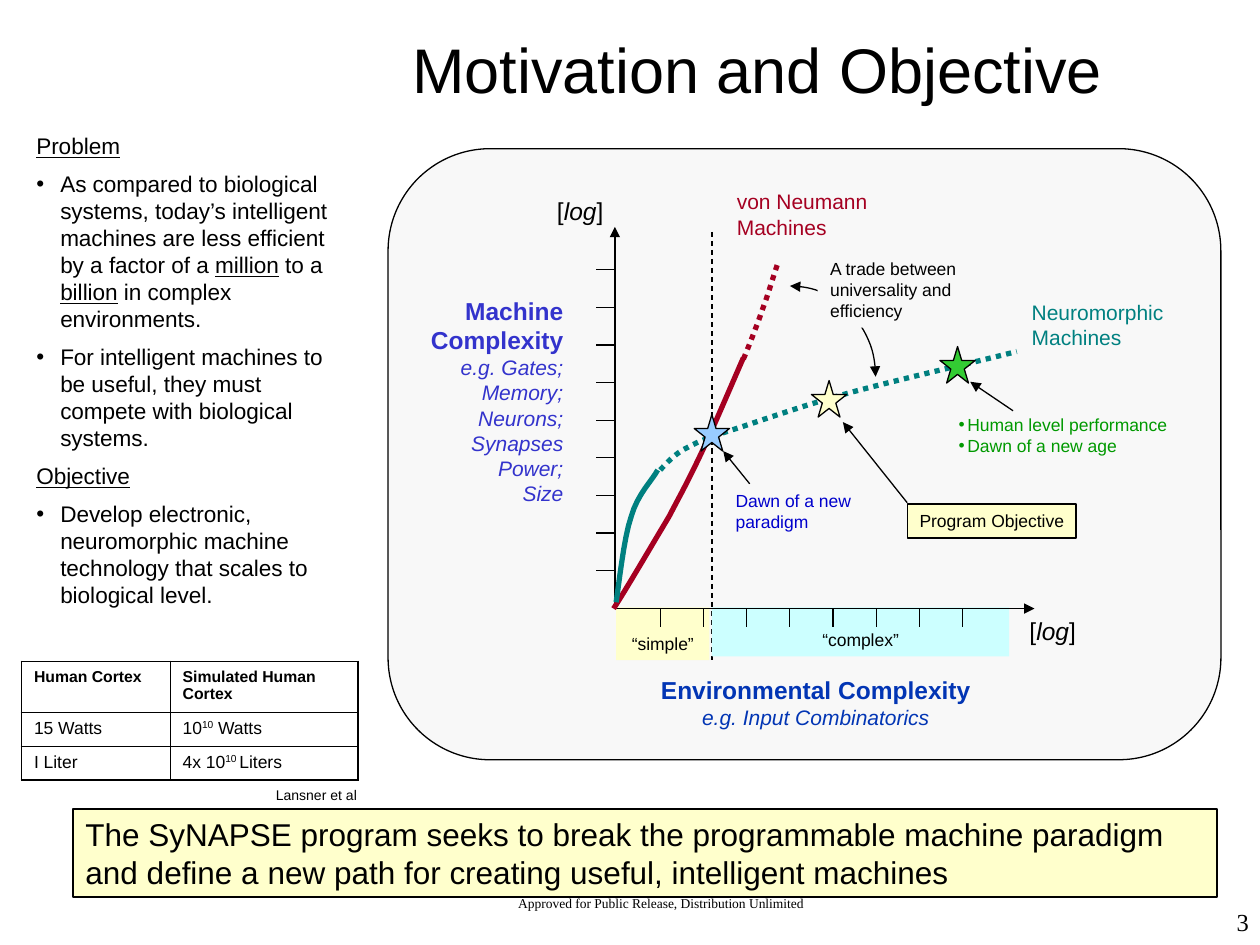
"""Build the Motivation and Objective slide with its complexity graph."""
from pptx import Presentation
from pptx.dml.color import RGBColor
from pptx.enum.dml import MSO_LINE
from pptx.enum.shapes import MSO_CONNECTOR, MSO_SHAPE
from pptx.enum.text import MSO_ANCHOR, PP_ALIGN
from pptx.oxml.ns import qn
from pptx.util import Pt
from lxml import etree

PX = 9144
LEFT, CENTER, RIGHT = PP_ALIGN.LEFT, PP_ALIGN.CENTER, PP_ALIGN.RIGHT
TOP, MIDDLE, BOTTOM = MSO_ANCHOR.TOP, MSO_ANCHOR.MIDDLE, MSO_ANCHOR.BOTTOM
RECTANGLE, ROUNDED = MSO_SHAPE.RECTANGLE, MSO_SHAPE.ROUNDED_RECTANGLE
STAR, ARC = MSO_SHAPE.STAR_5_POINT, MSO_SHAPE.ARC
STRAIGHT = MSO_CONNECTOR.STRAIGHT
DASH, DOTS = MSO_LINE.DASH, MSO_LINE.ROUND_DOT

BLACK = RGBColor(0x00, 0x00, 0x00)
CREAM = RGBColor(0xFF, 0xFF, 0xCC)
PANEL = RGBColor(0xF8, 0xF8, 0xF8)
CYAN = RGBColor(0xCC, 0xFF, 0xFF)
CRIMSON = RGBColor(0xA5, 0x00, 0x21)
TEAL = RGBColor(0x00, 0x80, 0x80)
INDIGO = RGBColor(0x33, 0x33, 0xCC)
ROYAL = RGBColor(0x02, 0x35, 0xB4)
BLUE = RGBColor(0x00, 0x00, 0xCC)
SKY = RGBColor(0x99, 0xCC, 0xFF)
GREEN = RGBColor(0x00, 0x99, 0x00)
LIME = RGBColor(0x33, 0xCC, 0x33)

SANS, SERIF = "Arial", "Times New Roman"
STYLES = {
    "title": (36, BLACK, SANS, ""), "banner": (18, BLACK, SANS, ""),
    "footer": (7.7, BLACK, SERIF, ""), "number": (14, BLACK, SERIF, ""),
    "topic": (12.9, BLACK, SANS, "u"), "body": (12.9, BLACK, SANS, ""),
    "header": (9, BLACK, SANS, "b"), "small": (10, BLACK, SANS, ""),
    "citation": (8, BLACK, SANS, ""), "log": (14, BLACK, SANS, ""),
    "machine": (14, INDIGO, SANS, "b"), "machine example": (12, INDIGO, SANS, "i"),
    "environment": (14, ROYAL, SANS, "b"), "environment example": (12, ROYAL, SANS, "i"),
    "von neumann": (12, CRIMSON, SANS, ""), "neuromorphic": (12, TEAL, SANS, ""),
    "paradigm": (10, BLUE, SANS, ""), "human level": (10, GREEN, SANS, ""),
}
INDENTS = {"topic": 19, "body": 19, "human level": 7}
BULLETED = ("body", "human level")
LOG = [("log", [("[", ""), ("log", "i"), ("]", "")])]

PROBLEM = [
    ("topic", "Problem"),
    ("body", [("As compared to biological systems, today’s intelligent machines are less "
               "efficient by a factor of a ", ""), ("million", "u"), (" to a ", ""),
              ("billion", "u"), (" in complex environments.", "")]),
    ("body", "For intelligent machines to be useful, they must compete with biological systems."),
    ("topic", "Objective"),
    ("body", "Develop electronic, neuromorphic machine technology that scales to "
             "biological level."),
]
MACHINE = [("machine", "Machine Complexity")] + [
    ("machine example", example)
    for example in ("e.g. Gates;", "Memory;", "Neurons;", "Synapses", "Power;", "Size")]
ENVIRONMENT = [("environment", "Environmental Complexity"),
               ("environment example", "e.g. Input Combinatorics")]
HUMAN_LEVEL = [("human level", "Human level performance"), ("human level", "Dawn of a new age")]
BANNER = [("banner", "The SyNAPSE program seeks to break the programmable machine paradigm "
                     "and define a new path for creating useful, intelligent machines")]
TABLE = [
    [("header", "Human Cortex"), ("header", "Simulated Human Cortex")],
    [("small", "15 Watts"), ("small", [("10", ""), ("10", "^"), (" Watts", "")])],
    [("small", "I Liter"), ("small", [("4x 10", ""), ("10 ", "^"), ("Liters", "")])],
]
COLUMN_WIDTHS, ROW_HEIGHTS = (118, 149), (40, 27, 27)

TEXT_BOXES = [
    ((283, 708, 483, 25), [("footer", "Approved for Public Release, Distribution Unlimited")],
     CENTER, True),
    ((793, 715, 208, 50), [("number", "3")], RIGHT, True),
    ((19, 100, 264, 402), PROBLEM, LEFT, True),
    ((209, 619, 95, 23), [("citation", "Lansner et al")], LEFT, False),
    ((575, 145, 173, 50), [("von neumann", "von Neumann Machines")], LEFT, True),
    ((809, 233, 137, 50), [("neuromorphic", "Neuromorphic Machines")], LEFT, True),
    ((303, 230, 154, 177), MACHINE, RIGHT, True),
    ((502, 531, 291, 54), ENVIRONMENT, CENTER, True),
    ((432, 151, 57, 34), LOG, CENTER, False),
    ((807, 484, 57, 34), LOG, CENTER, False),
    ((751, 324, 224, 44), HUMAN_LEVEL, LEFT, True),
    ((574, 384, 130, 44), [("paradigm", "Dawn of a new paradigm")], LEFT, True),
]
CURVES = [
    (CRIMSON, None, [(487, 483), (495, 471), (519, 430), (531, 410), (542, 389), (546, 382),
                     (556, 361), (566, 340), (583, 300), (590, 284)]),
    (CRIMSON, DOTS, [(590, 285), (593, 278), (601, 258), (605, 246), (610, 233), (615, 215),
                     (618, 207)]),
    (TEAL, DOTS, [(524, 373), (527, 370), (535, 360), (546, 355), (557, 349), (566, 346),
                  (588, 339), (609, 332), (640, 321), (677, 311), (714, 301), (780, 286),
                  (807, 279)]),
    (TEAL, None, [(489, 478), (491, 466), (495, 427), (501, 410), (506, 392), (518, 381),
                  (522, 373)]),
]
STARS = [(551, 329, SKY), (644, 302, CREAM), (746, 275, LIME)]
POINTERS = [((804, 326), (770, 303)), ((595, 384), (574, 358)), ((720, 399), (669, 335))]
ORIGIN_X, ORIGIN_Y, TICK = 488, 483, 15
X_TICKS = [524 + 240 * step / 7 for step in range(8)]
Y_TICKS = [453 - 239 * step / 8 for step in range(9)]


def emu(*lengths):
    return [round(length * PX) for length in lengths]


def write(frame, paragraphs, align=LEFT, anchor=TOP, wrap=True):
    frame.word_wrap, frame.vertical_anchor = wrap, anchor
    for index, (style, runs) in enumerate(paragraphs):
        paragraph = frame.add_paragraph() if index else frame.paragraphs[0]
        size, color, name, marks = STYLES[style]
        paragraph.alignment = align
        if style in INDENTS:
            properties = paragraph._p.get_or_add_pPr()
            indent = INDENTS[style] * PX
            properties.set("marL", str(indent))
            properties.set("indent", str(-indent))
            if style in BULLETED:
                etree.SubElement(properties, qn("a:buFont")).set("typeface", name)
                etree.SubElement(properties, qn("a:buChar")).set("char", "•")
        if style in ("topic", "body"):
            paragraph.space_after = Pt(6.1)
        if style == "footer":
            paragraph.line_spacing = 0.8
        for text, run_marks in [(runs, marks)] if isinstance(runs, str) else runs:
            run = paragraph.add_run()
            run.text = text
            font = run.font
            font.size, font.name, font.color.rgb = Pt(size), name, color
            font.bold, font.italic = "b" in run_marks, "i" in run_marks
            font.underline = "u" in run_marks
            if "^" in run_marks:
                run._r.get_or_add_rPr().set("baseline", "30000")


def paint(shape, fill=None, line=None, width=0.75):
    shape.shadow.inherit = False
    for target, color in ((shape.fill, fill), (shape.line.fill, line)):
        if color is None:
            target.background()
        else:
            target.solid()
            target.fore_color.rgb = color
    if line is not None:
        shape.line.width = Pt(width)


def add_shape(slide, kind, box, fill=None, line=None):
    shape = slide.shapes.add_shape(kind, *emu(*box))
    paint(shape, fill, line)
    return shape


def add_arrowheads(shape, *ends):
    outline = shape._element.spPr.get_or_add_ln()
    for end in ends:
        etree.SubElement(outline, qn(end)).set("type", "triangle")


def add_line(slide, start, end, width=0.75, dash=None, arrow=False):
    line = slide.shapes.add_connector(STRAIGHT, *emu(*start, *end))
    line.line.color.rgb, line.line.width = BLACK, Pt(width)
    if dash:
        line.line.dash_style = dash
    if arrow:
        add_arrowheads(line, "a:tailEnd")
    etree.SubElement(line._element.spPr, qn("a:effectLst"))


def add_curve(slide, color, dash, controls, steps=8):
    points = [emu(*controls[0])]
    for index in range(0, len(controls) - 1, 3):
        segment = controls[index:index + 4]
        for t in (step / steps for step in range(1, steps + 1)):
            weights = ((1 - t) ** 3, 3 * t * (1 - t) ** 2, 3 * t * t * (1 - t), t ** 3)
            points.append(emu(*(sum(w * p[axis] for w, p in zip(weights, segment))
                                for axis in (0, 1))))
    builder = slide.shapes.build_freeform(*points[0], scale=1.0)
    builder.add_line_segments(points[1:], close=False)
    curve = builder.convert_to_shape()
    paint(curve, None, color, 3)
    if dash:
        curve.line.dash_style = dash


def add_table(slide):
    rows, columns = len(ROW_HEIGHTS), len(COLUMN_WIDTHS)
    box = emu(17, 525, sum(COLUMN_WIDTHS), sum(ROW_HEIGHTS))
    table = slide.shapes.add_table(rows, columns, *box).table
    table.first_row = table.horz_banding = False
    for column, width in zip(table.columns, COLUMN_WIDTHS):
        column.width = width * PX
    for r, height in enumerate(ROW_HEIGHTS):
        table.rows[r].height = height * PX
        for c in range(columns):
            cell = table.cell(r, c)
            write(cell.text_frame, [TABLE[r][c]])
            outer = {"a:lnL": c == 0, "a:lnR": c == columns - 1,
                     "a:lnT": r == 0, "a:lnB": r == rows - 1}
            for side, is_outer in outer.items():
                border = etree.SubElement(cell._tc.get_or_add_tcPr(), qn(side))
                border.set("w", str(Pt(1.08 if is_outer else 0.45)))
                fill = etree.SubElement(border, qn("a:solidFill"))
                etree.SubElement(fill, qn("a:srgbClr")).set("val", str(BLACK))
            cell.fill.background()


def add_graph(slide):
    panel = add_shape(slide, ROUNDED, (308, 118, 661, 485), PANEL, BLACK)
    panel.adjustments[0] = 0.167
    add_line(slide, (565, 184), (565, 524), dash=DASH)
    for box, fill, label in (((489, 482, 74, 42), CREAM, "“simple”"),
                             ((565, 482, 236, 39), CYAN, "“complex”")):
        region = add_shape(slide, RECTANGLE, box, fill)
        write(region.text_frame, [("small", label)], CENTER, BOTTOM, False)
    for end in ((ORIGIN_X, 180), (821, ORIGIN_Y)):
        add_line(slide, (ORIGIN_X, ORIGIN_Y), end, 1, arrow=True)
    for x in X_TICKS:
        add_line(slide, (x, ORIGIN_Y), (x, ORIGIN_Y + TICK))
    for y in Y_TICKS:
        add_line(slide, (ORIGIN_X, y), (ORIGIN_X - TICK, y))
    for curve in CURVES:
        add_curve(slide, *curve)
    for x, y, color in STARS:
        add_shape(slide, STAR, (x, y, 28, 29), color, BLACK)
    trade_arc = add_shape(slide, ARC, (559, 227, 136, 144), None, BLACK)
    add_arrowheads(trade_arc, "a:headEnd", "a:tailEnd")
    trade = add_shape(slide, RECTANGLE, (649, 200, 160, 60), PANEL)
    write(trade.text_frame, [("small", "A trade between universality and efficiency")])
    objective = add_shape(slide, RECTANGLE, (720, 400, 134, 27), CREAM, BLACK)
    write(objective.text_frame, [("small", "Program Objective")], wrap=False)
    for start, end in POINTERS:
        add_line(slide, start, end, arrow=True)


def main():
    presentation = Presentation()
    presentation.slide_width, presentation.slide_height = emu(1000, 750)
    slide = presentation.slides.add_slide(presentation.slide_layouts[5])
    title = slide.shapes.title
    title.left, title.top, title.width, title.height = emu(204, 0, 794, 108)
    write(title.text_frame, [("title", "Motivation and Objective")], CENTER, MIDDLE)
    banner = add_shape(slide, RECTANGLE, (58, 642, 908, 70), CREAM, BLACK)
    write(banner.text_frame, BANNER)
    add_graph(slide)
    for box, paragraphs, align, wrap in TEXT_BOXES:
        text_box = slide.shapes.add_textbox(*emu(*box))
        write(text_box.text_frame, paragraphs, align, wrap=wrap)
    add_table(slide)
    presentation.save("out.pptx")


if __name__ == "__main__":
    main()
